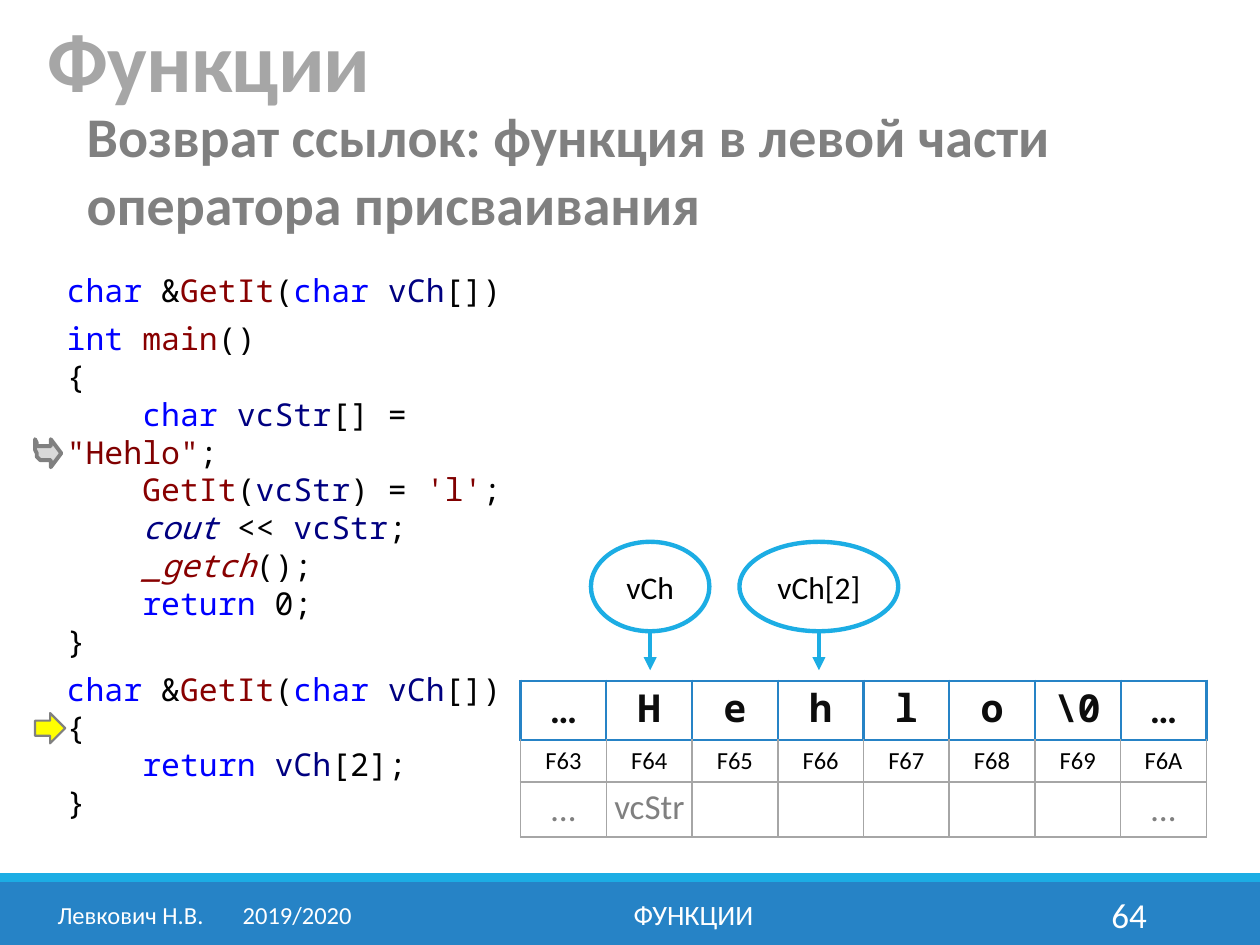
from dataclasses import dataclass

from lxml import etree
from pptx import Presentation
from pptx.dml.color import RGBColor
from pptx.enum.shapes import MSO_CONNECTOR, MSO_SHAPE
from pptx.enum.text import MSO_ANCHOR, PP_ALIGN
from pptx.oxml.ns import qn
from pptx.util import Pt

LEFT, CENTER, RIGHT = PP_ALIGN.LEFT, PP_ALIGN.CENTER, PP_ALIGN.RIGHT
TOP, MIDDLE, BOTTOM = MSO_ANCHOR.TOP, MSO_ANCHOR.MIDDLE, MSO_ANCHOR.BOTTOM


@dataclass(frozen=True)
class Theme:
    sans: str = "Calibri"
    mono: str = "Noto Sans Mono"
    blue: str = "2683C6"
    cyan: str = "1CADE4"
    white: str = "FFFFFF"
    black: str = "000000"
    ink: str = "0D0D0D"
    gray: str = "808080"
    silver: str = "A6A6A6"
    pale: str = "D9D9D9"
    yellow: str = "FFFF00"
    keyword: str = "0000FF"
    function: str = "880000"
    variable: str = "000080"
    string: str = "800000"
    title: int = 48
    subtitle: int = 32
    memory: int = 22
    large: int = 20
    code: int = 18
    footer: int = 16
    small: int = 14


T = Theme()


def rgb(color):
    return RGBColor.from_string(color)


def write(tf, text, size, color, align=LEFT, anchor=TOP, bold=False):
    """Fill a text frame with one formatted paragraph and return it."""
    tf.word_wrap = True
    tf.vertical_anchor = anchor
    p = tf.paragraphs[0]
    p.text = text
    p.alignment = align
    for r in p.runs:
        r.font.name, r.font.size, r.font.bold = T.sans, Pt(size), bold
        r.font.color.rgb = rgb(color)
    return p


prs = Presentation()
prs.slide_width, prs.slide_height = Pt(720), Pt(540)
shapes = prs.slides.add_slide(prs.slide_layouts[6]).shapes

# Footer bands
for y, h, color in [(504, 36, T.blue), (499, 5, T.cyan)]:
    sp = shapes.add_shape(MSO_SHAPE.RECTANGLE, 0, Pt(y), Pt(720), Pt(h))
    sp.shadow.inherit = False
    sp.fill.solid()
    sp.fill.fore_color.rgb = rgb(color)
    sp.line.fill.background()

# Code listing: "|" separates tokens
TOKEN_COLORS = {
    "char": T.keyword, "int": T.keyword, "return": T.keyword,
    "GetIt": T.function, "main": T.function, "_getch": T.function,
    "vCh": T.variable, "vcStr": T.variable, "cout": T.variable,
    '"Hehlo"': T.string, "'l'": T.string,
}
ITALIC = {"cout", "_getch"}
SIGNATURE = "char| &|GetIt|(|char| |vCh|[])"
MAIN = "int| |main|()"
CODE = [
    SIGNATURE,
    MAIN,
    "{",
    '    |char| |vcStr|[] = |"Hehlo"|;',
    "    |GetIt|(|vcStr|) = |'l'|;",
    "    |cout| << |vcStr|;",
    "    |_getch|();",
    "    |return| 0;",
    "}",
    SIGNATURE,
    "{",
    "    |return| |vCh|[2];",
    "}",
]
tf = shapes.add_textbox(Pt(31), Pt(151.2), Pt(294.5), Pt(303)).text_frame
tf.word_wrap = True
for i, line in enumerate(CODE):
    p = tf.add_paragraph() if i else tf.paragraphs[0]
    p.line_spacing = Pt(21.6)
    if i and line in (SIGNATURE, MAIN):
        p.space_before = Pt(6)
    for token in line.split("|"):
        r = p.add_run()
        r.text = token
        r.font.name, r.font.size = T.mono, Pt(T.code)
        r.font.italic = token in ITALIC
        r.font.color.rgb = rgb(TOKEN_COLORS.get(token, T.black))

# Memory table
ROWS = [
    (["…", "H", "e", "h", "l", "o", "\\0", "…"], 33.7, T.memory, T.ink),
    ([f"F{n:X}" for n in range(0x63, 0x6B)], 23.5, T.small, T.black),
    (["…"] + [""] * 6 + ["…"], 31.4, T.large, T.gray),
]
table = shapes.add_table(3, 8, Pt(297.5), Pt(389), Pt(392), Pt(88.6)).table
table.first_row = table.horz_banding = False
for col in table.columns:
    col.width = Pt(49)
for i, (texts, height, size, color) in enumerate(ROWS):
    table.rows[i].height = Pt(height)
    for j, text in enumerate(texts):
        cell = table.cell(i, j)
        cell.fill.solid()
        cell.fill.fore_color.rgb = rgb(T.white)
        p = write(cell.text_frame, text, size, color, CENTER, bold=i == 0)
        cell.vertical_anchor = MIDDLE if i else TOP
        if i == 0:
            p.line_spacing = Pt(26.5)
            if text != "…":
                p.runs[0].font.name = T.mono
        tcPr = cell._tc.get_or_add_tcPr()
        for k, side in enumerate(("lnL", "lnR", "lnT", "lnB")):
            strong = i == 0 or (i == 1 and side == "lnT")
            ln = etree.Element(qn("a:" + side), w=str(Pt(1.5 if strong else 1)))
            fill = etree.SubElement(ln, qn("a:solidFill"))
            etree.SubElement(fill, qn("a:srgbClr"), val=T.blue if strong else T.silver)
            tcPr.insert(k, ln)

# Step markers beside the code
current = shapes.add_shape(MSO_SHAPE.RIGHT_ARROW, Pt(20), Pt(407.5), Pt(17.3), Pt(17.3))
tail_curves = [
    [(23, 262.8), (20.9, 262.8), (20.2, 257.8), (20.2, 251.3)],
    [(20.2, 251.3), (20.9, 254.2), (20.9, 254.9), (23, 254.9)],
]
outline = [(28.8, 254.9), (28.8, 250.6), (35.3, 259.2), (28.8, 267.1), (28.8, 262.8), (23, 262.8)]
STEPS = 6
for curve in tail_curves:
    for n in range(1, STEPS + 1):
        t = n / STEPS
        weights = ((1 - t) ** 3, 3 * t * (1 - t) ** 2, 3 * t * t * (1 - t), t ** 3)
        outline.append(tuple(sum(w * pt[axis] for w, pt in zip(weights, curve)) for axis in (0, 1)))
builder = shapes.build_freeform(23, 254.9, scale=Pt(1))
builder.add_line_segments(outline, close=True)
returning = builder.convert_to_shape()
for sp, color, width in [(current, T.yellow, 1.25), (returning, T.pale, 2.25)]:
    sp.shadow.inherit = False
    sp.fill.solid()
    sp.fill.fore_color.rgb = rgb(color)
    sp.line.color.rgb = rgb(T.gray)
    sp.line.width = Pt(width)

# Pointers into the table
for text, x, w in [("vCh", 337.7, 67.7), ("vCh[2]", 422.6, 90.7)]:
    sp = shapes.add_shape(MSO_SHAPE.OVAL, Pt(x), Pt(309.6), Pt(w), Pt(51.1))
    sp.shadow.inherit = False
    sp.fill.background()
    write(sp.text_frame, text, T.code, T.black, CENTER, MIDDLE)
    sp.text_frame.word_wrap = False
    mid = Pt(x + w / 2)
    arrow = shapes.add_connector(MSO_CONNECTOR.STRAIGHT, mid, Pt(360.7), mid, Pt(383))
    for s in (sp, arrow):
        s.line.color.rgb = rgb(T.cyan)
        s.line.width = Pt(2.5)
    etree.SubElement(arrow.line._get_or_add_ln(), qn("a:tailEnd"), type="triangle")
    etree.SubElement(arrow._element.spPr, qn("a:effectLst"))

# Titles, table label and footer: text, box, size, colour, alignment, anchor, bold, tab
LABELS = [
    ("Функции", (20, 0, 594, 66.2), T.title, T.silver, LEFT, BOTTOM, True, None),
    ("Возврат ссылок: функция в левой части\vоператора присваивания",
     (42.5, 54.7, 571, 85), T.subtitle, T.gray, LEFT, TOP, True, None),
    ("vcStr", (342.7, 440.6, 56.9, 39.6), T.large, T.gray, CENTER, MIDDLE, False, None),
    ("Левкович Н.В.\t2019/2020", (23, 508.3, 188, 28.8), T.small, T.white, CENTER, MIDDLE, False, 105.8),
    ("ФУНКЦИИ", (217.4, 508.3, 357.8, 28.8), T.footer, T.white, CENTER, MIDDLE, False, None),
    ("64", (584.6, 508.3, 77.8, 28.8), T.large, T.white, RIGHT, MIDDLE, False, None),
]
for text, box, size, color, align, anchor, bold, tab in LABELS:
    tf = shapes.add_textbox(*map(Pt, box)).text_frame
    p = write(tf, text, size, color, align, anchor, bold)
    if tab:
        tabs = etree.SubElement(p._p.get_or_add_pPr(), qn("a:tabLst"))
        etree.SubElement(tabs, qn("a:tab"), pos=str(Pt(tab)), algn="l")
    if size == T.title:
        p.line_spacing = 0.85
        p.runs[0].font._element.set("spc", "-50")

prs.save("out.pptx")
